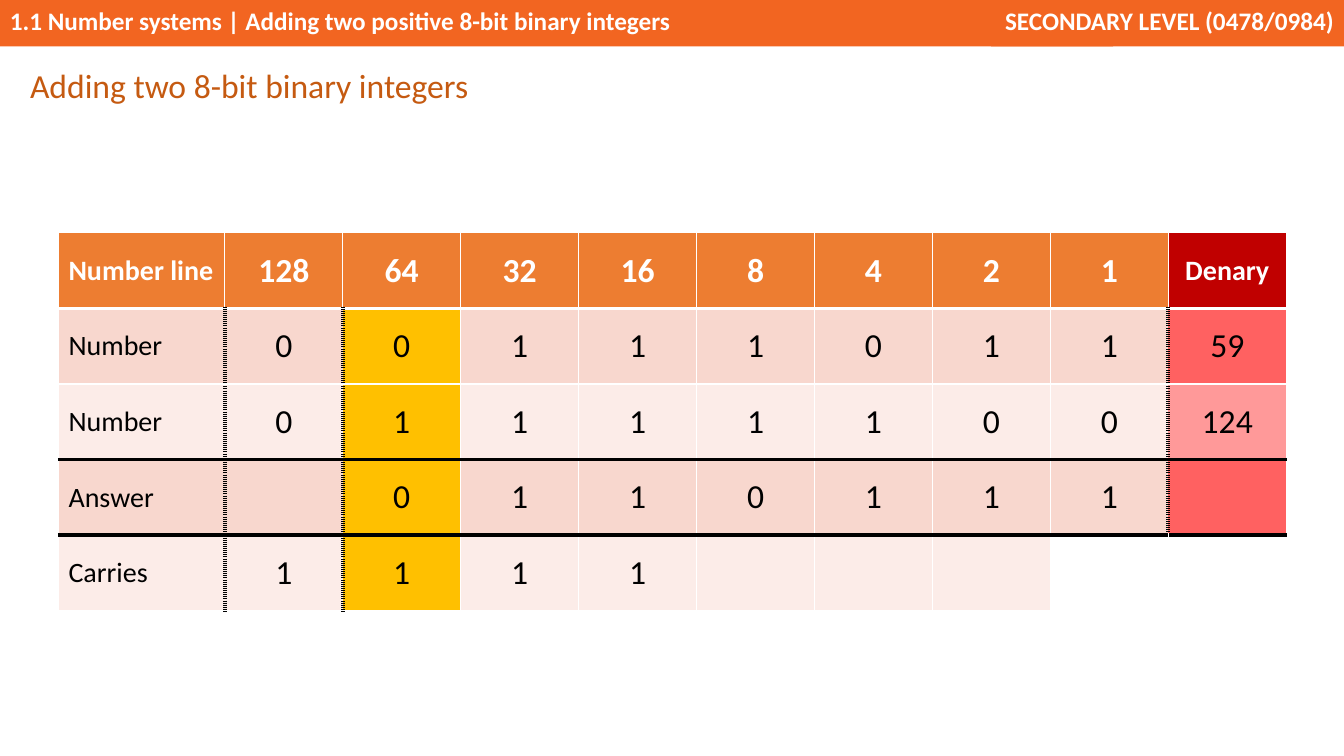
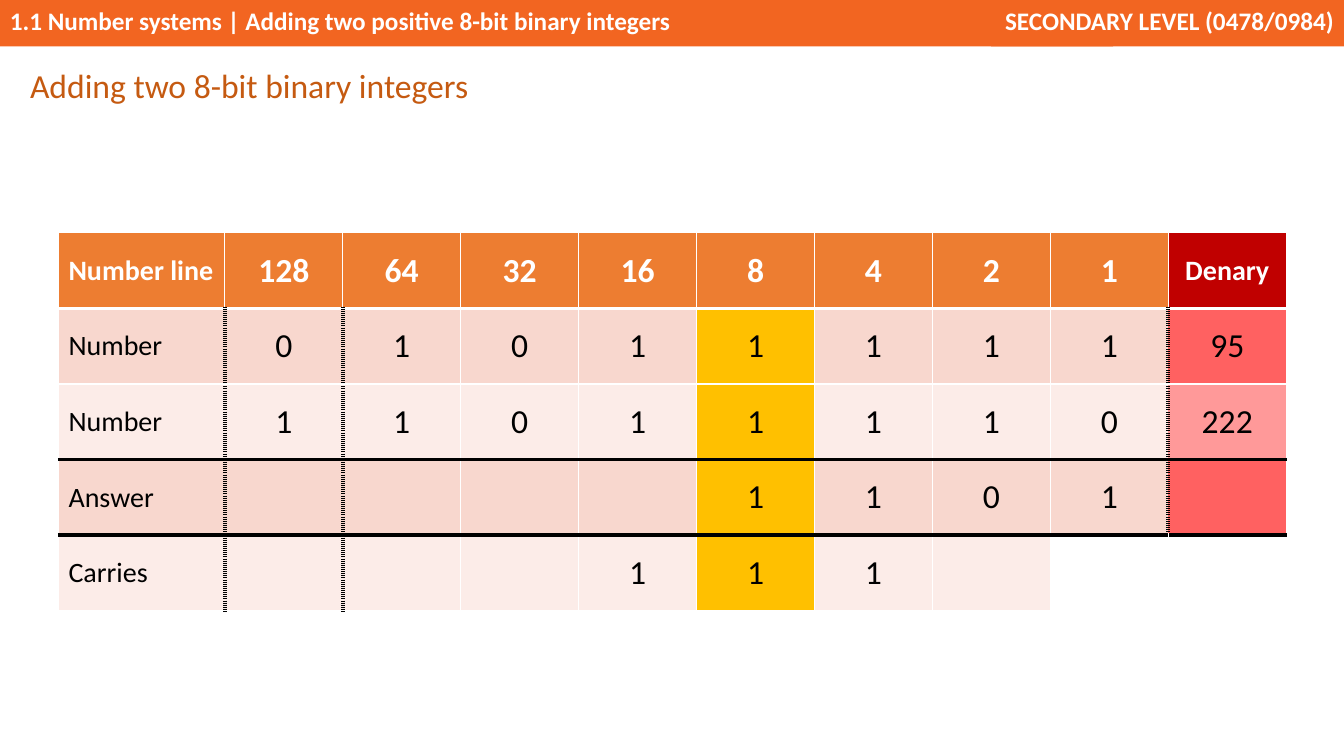
from lxml.etree import SubElement
from pptx import Presentation
from pptx.dml.color import RGBColor
from pptx.enum.shapes import MSO_SHAPE as Shape
from pptx.enum.text import MSO_ANCHOR as Anchor, MSO_AUTO_SIZE as AutoSize, PP_ALIGN as Align
from pptx.oxml.ns import qn
from pptx.util import Inches, Pt

COLOURS = {
    "band": "F26521", "title": "C55A11", "header": "ED7D31", "denary": "C00000",
    "odd": "F8D7CE", "even": "FCECE8", "denary_odd": "FF6161", "denary_even": "FF9999",
    "active": "FFC000", "white": "FFFFFF", "black": "000000",
}
FONT = "Calibri"
PLACES = [128, 64, 32, 16, 8, 4, 2, 1]
DENARY = len(PLACES) + 1
CARRIES = 4
LABELS = ["Number line", "Number", "Number", "Answer", "Carries"]
LABEL_WIDTH, COLUMN_WIDTH, ROW_HEIGHT = 1.65, 1.17, 0.75
BANDS = [
    ((0, 0, 11.04, 0.46), "1.1 Number systems | Adding two positive 8-bit binary integers", Align.LEFT),
    ((9.83, 0, 3.5, 0.46), "SECONDARY LEVEL (0478/0984)", Align.RIGHT),
]
TITLE_BOX = (0.2, 0.57, 4.8, 0.51)
TABLE_BOX = (0.58, 2.31, LABEL_WIDTH + COLUMN_WIDTH * DENARY, ROW_HEIGHT * len(LABELS))
SUMS = [
    {"first": 59, "second": 124, "active": 64},
    {"first": 95, "second": 222, "active": 8},
]
THIN = {"colour": "white", "width": 1, "dash": "solid"}
WHITE_RULE = {"colour": "white", "width": 3, "dash": "solid"}
BLACK_RULE = {"colour": "black", "width": 3, "dash": "solid"}
DOTTED = {"colour": "black", "width": 3, "dash": "sysDot"}


def rgb(name):
    return RGBColor.from_string(COLOURS[name])


def paint(target, colour):
    target.fill.solid()
    target.fill.fore_color.rgb = rgb(colour)


def write(frame, text, size, colour, bold=False, align=Align.LEFT):
    para = frame.paragraphs[0]
    para.alignment = align
    span = para.add_run()
    span.text = text
    for name, value in {"name": FONT, "size": Pt(size), "bold": bold}.items():
        setattr(span.font, name, value)
    span.font.color.rgb = rgb(colour)
    return para


def add_bands(page):
    for box, text, align in BANDS:
        band = page.shapes.add_shape(Shape.RECTANGLE, *map(Inches, box))
        band.shadow.inherit = False
        paint(band, "band")
        band.line.fill.background()
        band.text_frame.vertical_anchor = Anchor.TOP
        write(band.text_frame, text, 18, "white", True, align)


def add_title(page, box, text):
    frame = page.shapes.add_textbox(*map(Inches, box)).text_frame
    frame.word_wrap = True
    frame.auto_size = AutoSize.SHAPE_TO_FIT_TEXT
    para = write(frame, text, 24, "title")
    para.line_spacing = 1.07
    para.space_after = Pt(8)


def sum_rows(first, second, active):
    """Return the cell texts, worked out as far as the active place."""
    total = first + second
    carried = first ^ second ^ total

    def bits(number):
        return ["1" if number & place else "0" for place in PLACES]

    answer = [bit if place <= active else "" for place, bit in zip(PLACES, bits(total))]
    carries = ["1" if carried & place and place <= 2 * active else "" for place in PLACES]
    bodies = [
        [*map(str, PLACES), "Denary"],
        [*bits(first), str(first)],
        [*bits(second), str(second)],
        [*answer, ""],
        [*carries, ""],
    ]
    return [[label, *body] for label, body in zip(LABELS, bodies)]


def cell_fill(row, column, active_column):
    if row == 0:
        return "denary" if column == DENARY else "header"
    if row == CARRIES and column >= DENARY - 1:
        return "white"
    if column == active_column:
        return "active"
    shade = "odd" if row % 2 else "even"
    return "denary_" + shade if column == DENARY else shade


def upright(row, column):
    """Style of the line on the left of a column."""
    dotted = row > 0 and (column in (1, 2) or column == DENARY and row < CARRIES)
    return DOTTED if dotted else THIN


def level(row):
    """Style of the line above a row."""
    return {1: WHITE_RULE, 3: BLACK_RULE, 4: BLACK_RULE}.get(row, THIN)


def set_borders(cell, row, column):
    sides = {"lnL": upright(row, column), "lnR": upright(row, column + 1),
             "lnT": level(row), "lnB": level(row + 1)}
    properties = cell._tc.get_or_add_tcPr()
    for index, (tag, style) in enumerate(sides.items()):
        line = SubElement(properties, qn("a:" + tag), w=str(Pt(style["width"])))
        fill = SubElement(line, qn("a:solidFill"))
        SubElement(fill, qn("a:srgbClr"), val=COLOURS[style["colour"]])
        SubElement(line, qn("a:prstDash"), val=style["dash"])
        properties.insert(index, line)


def add_sum_table(page, box, first, second, active):
    rows = sum_rows(first, second, active)
    table = page.shapes.add_table(len(rows), DENARY + 1, *map(Inches, box)).table
    for index, column in enumerate(table.columns):
        column.width = Inches(COLUMN_WIDTH if index else LABEL_WIDTH)
    active_column = PLACES.index(active) + 1
    for row, texts in enumerate(rows):
        table.rows[row].height = Inches(ROW_HEIGHT)
        for column, text in enumerate(texts):
            cell = table.cell(row, column)
            cell.vertical_anchor = Anchor.MIDDLE
            paint(cell, cell_fill(row, column, active_column))
            set_borders(cell, row, column)
            if text:
                size = 20 if column == 0 or text == "Denary" else 24
                write(cell.text_frame, text, size, "black" if row else "white", row == 0,
                      Align.CENTER if column else Align.LEFT)


def add_sum_slide(deck, numbers):
    page = deck.slides.add_slide(deck.slide_layouts[6])
    add_bands(page)
    add_sum_table(page, TABLE_BOX, **numbers)
    add_title(page, TITLE_BOX, "Adding two 8-bit binary integers")


def main():
    deck = Presentation()
    deck.slide_width, deck.slide_height = Inches(13.33), Inches(7.5)
    for numbers in SUMS:
        add_sum_slide(deck, numbers)
    deck.save("out.pptx")


if __name__ == "__main__":
    main()
